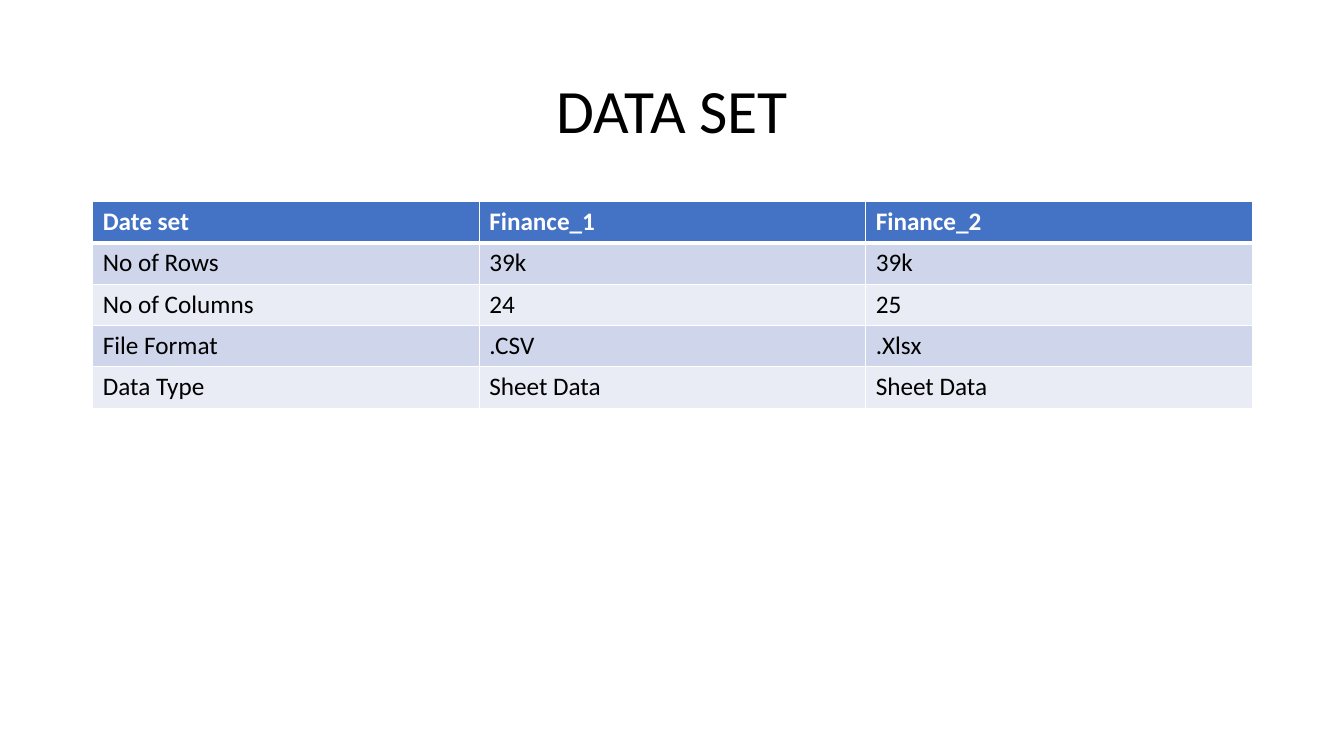
import dataclasses

import lxml.etree
import pptx
import pptx.dml.color
import pptx.enum.text
import pptx.oxml.ns
import pptx.util

Inches = pptx.util.Inches


@dataclasses.dataclass(frozen=True)
class Theme:
    font: str = "Calibri"
    ink: str = "000000"
    paper: str = "FFFFFF"
    header: str = "4472C4"
    bands: tuple = ("CFD5EA", "E9EBF5")
    title_size: int = 44
    body_size: int = 18
    rule: int = 1
    header_rule: int = 3


THEME = Theme()
LEFT, WIDTH = Inches(0.92), Inches(11.5)
ROW_HEIGHT = Inches(0.41)
DATA_SETS = (
    ("Date set", "Finance_1", "Finance_2"),
    ("No of Rows", "39k", "39k"),
    ("No of Columns", "24", "25"),
    ("File Format", ".CSV", ".Xlsx"),
    ("Data Type", "Sheet Data", "Sheet Data"),
)


def rgb(value):
    return pptx.dml.color.RGBColor.from_string(value)


def add_run(paragraph, text, size, color, bold=False):
    run = paragraph.add_run()
    run.text = text
    run.font.name = THEME.font
    run.font.size = pptx.util.Pt(size)
    run.font.bold = bold
    run.font.color.rgb = rgb(color)


def add_title(slide, text):
    title = slide.shapes.title
    title.left, title.top = LEFT, Inches(0.4)
    title.width, title.height = WIDTH, Inches(1.45)
    title.text_frame.vertical_anchor = pptx.enum.text.MSO_ANCHOR.MIDDLE
    heading = title.text_frame.paragraphs[0]
    heading.alignment = pptx.enum.text.PP_ALIGN.CENTER
    heading.line_spacing = 0.9
    add_run(heading, text, THEME.title_size, THEME.ink)


def set_borders(cell, top, bottom):
    properties = cell._tc.get_or_add_tcPr()
    sides = {"lnL": THEME.rule, "lnR": THEME.rule, "lnT": top, "lnB": bottom}
    for side, weight in sides.items():
        border = lxml.etree.SubElement(
            properties, pptx.oxml.ns.qn(f"a:{side}"), w=str(pptx.util.Pt(weight))
        )
        fill = lxml.etree.SubElement(border, pptx.oxml.ns.qn("a:solidFill"))
        lxml.etree.SubElement(fill, pptx.oxml.ns.qn("a:srgbClr"), val=THEME.paper)


def fill_cell(cell, text, row):
    is_header = row == 0
    set_borders(
        cell,
        top=THEME.header_rule if row == 1 else THEME.rule,
        bottom=THEME.header_rule if is_header else THEME.rule,
    )
    cell.fill.solid()
    cell.fill.fore_color.rgb = rgb(
        THEME.header if is_header else THEME.bands[(row - 1) % 2]
    )
    add_run(
        cell.text_frame.paragraphs[0],
        text,
        THEME.body_size,
        THEME.paper if is_header else THEME.ink,
        bold=is_header,
    )


def add_data_table(slide, records):
    row_count, column_count = len(records), len(records[0])
    table = slide.shapes.add_table(
        row_count, column_count, LEFT, Inches(2), WIDTH, ROW_HEIGHT * row_count
    ).table
    for row, record in enumerate(records):
        for column, text in enumerate(record):
            fill_cell(table.cell(row, column), text, row)


def main():
    deck = pptx.Presentation()
    deck.slide_width, deck.slide_height = Inches(13.33), Inches(7.5)
    slide = deck.slides.add_slide(deck.slide_layouts.get_by_name("Title Only"))
    add_title(slide, "DATA SET")
    add_data_table(slide, DATA_SETS)
    deck.save("out.pptx")


if __name__ == "__main__":
    main()
